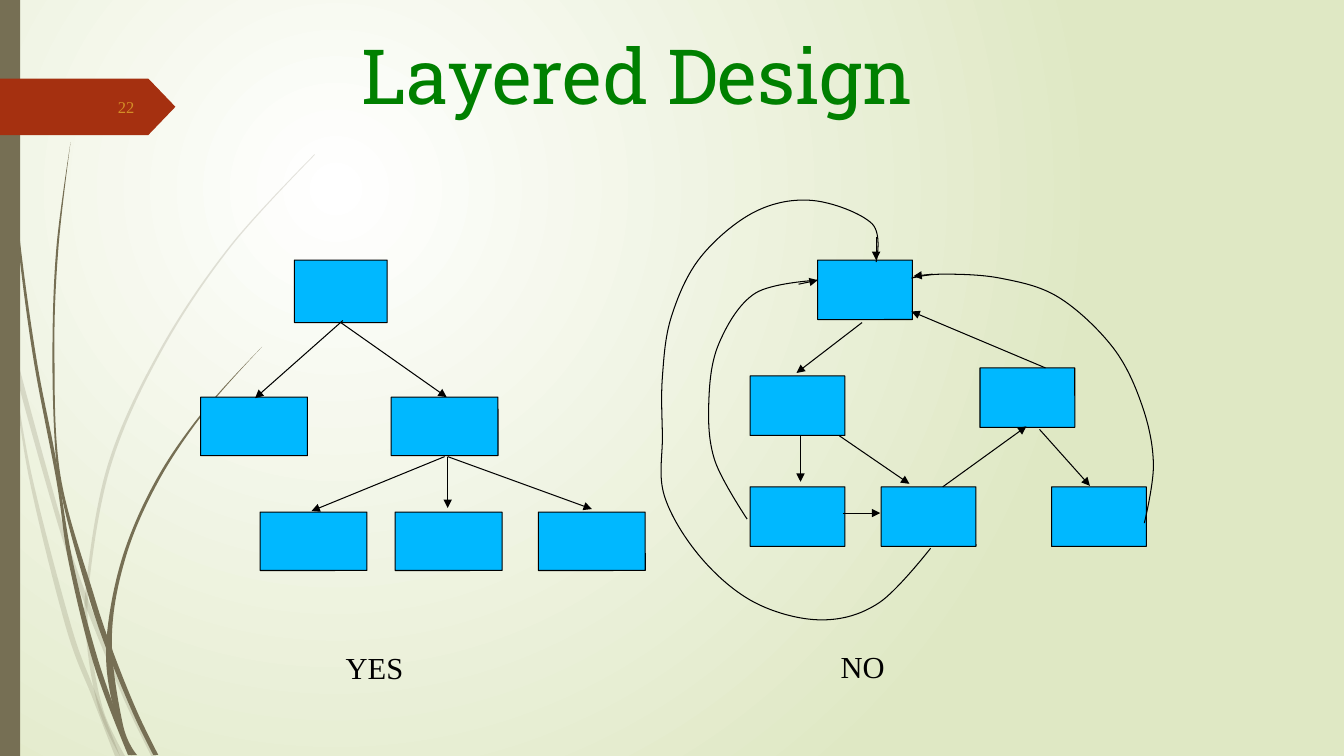
from lxml.etree import SubElement
from pptx import Presentation
from pptx.dml.color import RGBColor
from pptx.enum.shapes import MSO_CONNECTOR as Link, MSO_SHAPE as Kind
from pptx.enum.text import MSO_ANCHOR as Anchor, PP_ALIGN as Align
from pptx.oxml.ns import qn
from pptx.util import Inches, Pt

HUES = {"white": "FFFFFF", "pale": "DFE8C4", "olive": "766F54", "rust": "A53010",
        "green": "008000", "gold": "D38E27", "blue": "00B8FF", "black": "000000"}
SERIF = "Times New Roman"

LIGHT = [
    [[(0, 2.99), (0.17, 3.76), (0.58, 5.22), (0.84, 5.99), (1.23, 6.94), (1.5, 7.5)],
     [(1.55, 7.5), (1.27, 6.92), (0.92, 6.07), (0.62, 5.2), (0.14, 3.45), (0, 2.82)]],
    [[(0.11, 3.5), (0.28, 4.7), (0.65, 6.21), (0.92, 6.93), (1.14, 7.5)],
     [(1.19, 7.5), (0.93, 6.83), (0.7, 6.19), (0.31, 4.69), (0.11, 3.5)]],
    [[(3.12, 1.53), (2.28, 2.44), (1.58, 3.48), (1.07, 4.61), (0.85, 5.84),
      (0.87, 6.46), (0.99, 7.07), (1.19, 7.5)],
     [(1.24, 7.5), (1.03, 7.06), (0.91, 6.46), (0.88, 5.84), (1.1, 4.62), (1.6, 3.49),
      (2.29, 2.45), (3.12, 1.54)]],
]
DARK = [
    [[(0.03, 0), (0.07, 1.1), (0.17, 2.33), (0.33, 3.55), (0.56, 4.77), (0.68, 5.57),
      (0.93, 6.59), (1.27, 7.49)],
     [(1.31, 7.49), (0.98, 6.57), (0.72, 5.56), (0.55, 4.53), (0.36, 3.55),
      (0.19, 2.32), (0.08, 1.09), (0.04, 0)]],
    [[(0.7, 1.41), (0.56, 2.45), (0.52, 3.49), (0.55, 4.49), (0.64, 5.05),
      (0.88, 5.92), (1.06, 6.45), (1.32, 7.08), (1.52, 7.49)],
     [(1.57, 7.49), (1.36, 7.06), (1.13, 6.49), (0.93, 5.9), (0.6, 4.72), (0.54, 3.49),
      (0.58, 2.45), (0.7, 1.41)]],
    [[(2.6, 3.44), (2.04, 4.05), (1.56, 4.74), (1.22, 5.51), (1.06, 6.31),
      (1.1, 6.91), (1.3, 7.49)],
     [(1.36, 7.49), (1.22, 7.19), (1.11, 6.33), (1.25, 5.52), (1.58, 4.76),
      (2.05, 4.06), (2.6, 3.44)]],
]
TREE = [(1.99, 3.94), (3.88, 3.94), (2.58, 5.08), (3.92, 5.08), (5.34, 5.08)]
WEB = [(8.11, 2.58), (9.72, 3.65), (10.43, 4.83), (8.74, 4.83), (7.44, 4.83), (7.44, 3.73)]
ARROWS = [
    (3.4, 3.18, 2.53, 3.95), (3.38, 3.2, 4.43, 3.94), (4.41, 4.53, 3.09, 5.07),
    (4.44, 4.53, 4.44, 5.04), (4.44, 4.53, 5.87, 5.05), (8.55, 3.2, 7.9, 3.7),
    (7.94, 4.32, 7.94, 4.78), (8.32, 4.32, 9.02, 4.8), (10.31, 4.26, 10.81, 4.82),
    (9.35, 4.83, 10.18, 4.23), (10.37, 3.65, 9.04, 3.09), (7.92, 2.82, 8.11, 2.78),
    (9.25, 2.72, 9.06, 2.74), (8.69, 2.35, 8.69, 2.58), (8.36, 5.09, 8.73, 5.09),
]
LOOPS = [
    [(7.41, 5.15), (7.09, 4.57), (7.03, 3.99), (7.13, 3.41), (7.49, 2.91), (8.11, 2.78)],
    [(11.35, 5.19), (11.44, 4.61), (11.33, 4.03), (11.04, 3.45), (10.5, 2.95), (9.92, 2.76),
     (9.34, 2.72), (9.04, 2.76)],
    [(9.23, 5.44), (8.72, 5.98), (8.15, 6.15), (7.49, 5.98), (6.95, 5.53), (6.59, 4.92),
     (6.57, 4.32), (6.57, 3.74), (6.66, 3.14), (6.95, 2.55), (7.49, 2.1), (8.07, 1.99),
     (8.65, 2.22), (8.69, 2.6)],
]


def hue(name):
    return RGBColor.from_string(HUES[name])


def slopes(knots):
    inner = [((c - a) / 6, (d - b) / 6) for (a, b), (c, d) in zip(knots, knots[2:])]
    return [(0, 0), *inner, (0, 0)]


def trace(slide, sides, close):
    knots = [(Inches(x), Inches(y)) for side in sides for x, y in side]
    leans = [(Inches(x), Inches(y)) for side in sides for x, y in slopes(side)]
    pen = slide.shapes.build_freeform(*knots[0])
    pen.add_line_segments(knots[1:], close=close)
    form = pen.convert_to_shape()
    form.shadow.inherit = False
    spots = [(int(p.get("x")), int(p.get("y"))) for p in form._element.iter(qn("a:pt"))]
    legs = list(form._element.iter(qn("a:lnTo")))
    for leg, (a, b), (c, d), (e, f), (g, h) in zip(
            legs, spots, spots[1:], leans, leans[1:]):
        bend = leg.makeelement(qn("a:cubicBezTo"))
        for x, y in ((a + e, b + f), (c - g, d - h), (c, d)):
            SubElement(bend, qn("a:pt"), x=str(x), y=str(y))
        leg.getparent().replace(leg, bend)
    return form


def ink(line):
    line.color.rgb = hue("black")
    line.width = Pt(0.75)


def paint(shape, color, edge=False):
    shape.shadow.inherit = False
    shape.fill.solid()
    shape.fill.fore_color.rgb = hue(color)
    if edge:
        ink(shape.line)
    else:
        shape.line.fill.background()


def blade(slide, sides, alpha=None):
    form = trace(slide, sides, True)
    paint(form, "olive")
    if alpha:
        tone = form._element.spPr.find(qn("a:solidFill"))[0]
        SubElement(tone, qn("a:alpha"), val=str(alpha * 1000))


def loop(slide, knots):
    form = trace(slide, [knots], False)
    form.fill.background()
    ink(form.line)


def shape(slide, kind, box, color, edge=False):
    item = slide.shapes.add_shape(kind, *map(Inches, box))
    paint(item, color, edge)
    return item


def node(slide, *box):
    shape(slide, Kind.ROUNDED_RECTANGLE, box, "blue", True).adjustments[0] = 0.003


def arrow(slide, ends):
    link = slide.shapes.add_connector(Link.STRAIGHT, *map(Inches, ends))
    ink(link.line)
    SubElement(link._element.spPr.find(qn("a:ln")), qn("a:tailEnd"), type="triangle")
    SubElement(link._element.spPr, qn("a:effectLst"))


def label(slide, text, box, size, color, font=SERIF, align=Align.LEFT, anchor=Anchor.TOP):
    frame = slide.shapes.add_textbox(*map(Inches, box)).text_frame
    frame.word_wrap = True
    frame.vertical_anchor = anchor
    para = frame.paragraphs[0]
    para.text = text
    para.alignment = align
    para.font.name = font
    para.font.size = Pt(size)
    para.font.color.rgb = hue(color)
    return para


def backdrop(slide):
    fill = slide.background.fill
    fill.gradient()
    for stop, name in zip(fill.gradient_stops, ("white", "pale")):
        stop.color.rgb = hue(name)
    grad = slide._element.find(".//" + qn("a:gradFill"))
    grad.remove(grad.find(qn("a:lin")))
    ring = SubElement(grad, qn("a:path"), path="circle")
    SubElement(ring, qn("a:fillToRect"), l="50000", t="50000", r="100000", b="100000")


def main():
    deck = Presentation()
    deck.slide_width, deck.slide_height = Inches(13.33), Inches(7.5)
    slide = deck.slides.add_slide(deck.slide_layouts[6])
    backdrop(slide)
    for sides in LIGHT:
        blade(slide, sides, 20)
    for sides in DARK:
        blade(slide, sides)
    shape(slide, Kind.RECTANGLE, (0, 0, 0.2, 7.5), "olive")
    shape(slide, Kind.PENTAGON, (0, 0.78, 1.74, 0.56), "rust").adjustments[0] = 0.48
    title = label(slide, "Layered Design", (2.07, 0.17, 8.5, 1.25), 54.4, "green",
                  "Roboto Slab", Align.CENTER, Anchor.MIDDLE)
    title.line_spacing = 0.9
    label(slide, "22", (0.58, 0.86, 0.85, 0.4), 11.8, "gold",
          align=Align.RIGHT, anchor=Anchor.MIDDLE)
    node(slide, 2.92, 2.58, 0.92, 0.62)
    for left, top in TREE:
        node(slide, left, top, 1.06, 0.58)
    for left, top in WEB:
        node(slide, left, top, 0.94, 0.59)
    for knots in LOOPS:
        loop(slide, knots)
    for ends in ARROWS:
        arrow(slide, ends)
    label(slide, "YES", (3.33, 6.39, 1.34, 0.47), 21.8, "black")
    label(slide, "NO", (8.24, 6.38, 1.2, 0.47), 21.8, "black")
    deck.save("out.pptx")


if __name__ == "__main__":
    main()
